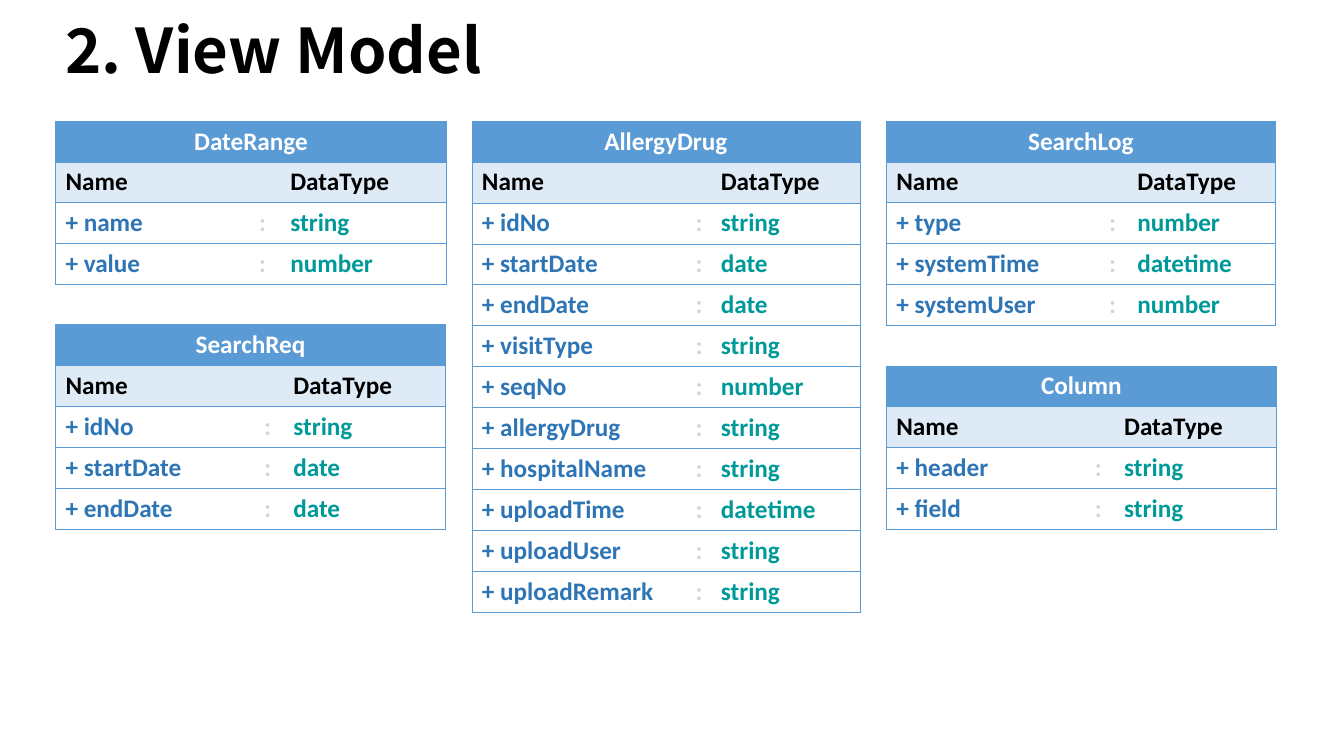
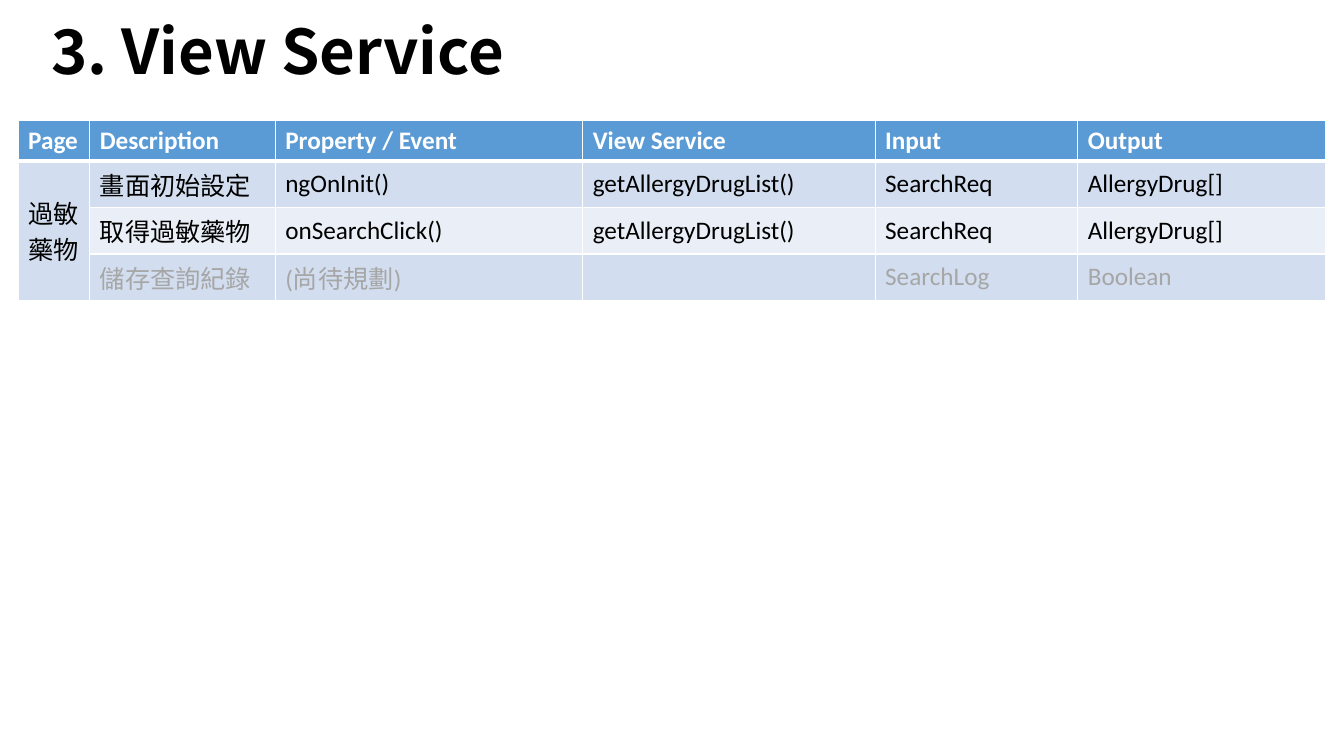
import dataclasses
import itertools

import lxml.etree
import pptx
import pptx.dml.color
import pptx.enum.text
import pptx.oxml.ns
import pptx.util

Inches = pptx.util.Inches
Align = pptx.enum.text.PP_ALIGN
Anchor = pptx.enum.text.MSO_ANCHOR
qn = pptx.oxml.ns.qn


@dataclasses.dataclass(frozen=True)
class Theme:
    accent: str = "5B9BD5"
    subhead: str = "DEEBF7"
    field: str = "2E75B6"
    datatype: str = "009999"
    colon: str = "D4D4D4"
    bands: tuple = ("D2DEEF", "EAEFF7")
    muted: str = "A6A6A6"
    black: str = "000000"
    white: str = "FFFFFF"
    latin: str = "Calibri"
    asian: str = "Noto Sans CJK SC"
    title_size: int = 44
    table_size: int = 18
    no_style: str = "{2D5ABB26-0587-4C30-8999-92F81FD0307C}"


THEME = Theme()
TABLE_TOP = 1.19


# Shared text and table helpers
def apply(target, values):
    for name, value in values.items():
        setattr(target, name, value)


def add_span(para, text, font, size, color, bold):
    span = para.add_run()
    span.text = text
    apply(span.font, {"name": font, "size": pptx.util.Pt(size), "bold": bold})
    span.font.color.rgb = pptx.dml.color.RGBColor.from_string(color)
    if font == THEME.asian:
        east = lxml.etree.SubElement(span.font._element, qn("a:ea"))
        east.set("typeface", font)


def is_asian(letter):
    return ord(letter) > 0x2E7F


def add_title(deck, text, box):
    page = deck.slides.add_slide(deck.slide_layouts[5])
    title = page.shapes.title
    apply(title, dict(zip(("left", "top", "width", "height"), map(Inches, box))))
    apply(title.text_frame, {"word_wrap": True, "vertical_anchor": Anchor.MIDDLE,
                             "auto_size": pptx.enum.text.MSO_AUTO_SIZE.NONE})
    para = title.text_frame.paragraphs[0]
    apply(para, {"alignment": Align.LEFT, "line_spacing": 0.9})
    add_span(para, text, THEME.asian, THEME.title_size, THEME.black, True)
    return page


def add_grid(page, left, top, widths, heights):
    frame = page.shapes.add_table(
        len(heights), len(widths), Inches(left), Inches(top),
        Inches(sum(widths)), Inches(sum(heights)))
    table = frame.table
    apply(table, {"first_row": False, "horz_banding": False})
    table._tbl.tblPr.find(qn("a:tableStyleId")).text = THEME.no_style
    for column, width in zip(table.columns, widths):
        column.width = Inches(width)
    for row, height in zip(table.rows, heights):
        row.height = Inches(height)
    return table


def draw_borders(cell, color, widths):
    """Widths maps sides (L, R, T, B) to points."""
    props = cell._tc.get_or_add_tcPr()
    for side in "LRTB":
        if side in widths:
            line = lxml.etree.SubElement(props, qn("a:ln" + side),
                                         w=str(pptx.util.Pt(widths[side])))
            solid = lxml.etree.SubElement(line, qn("a:solidFill"))
            lxml.etree.SubElement(solid, qn("a:srgbClr"), val=color)


def fill_cell(cell, fill):
    if fill is None:
        cell.fill.background()
    else:
        cell.fill.solid()
        cell.fill.fore_color.rgb = pptx.dml.color.RGBColor.from_string(fill)


def write_cell(cell, text, color, bold, align=Align.LEFT, anchor=Anchor.TOP):
    cell.vertical_anchor = anchor
    para = cell.text_frame.paragraphs[0]
    para.alignment = align
    for asian, letters in itertools.groupby(text, is_asian):
        font = THEME.asian if asian else THEME.latin
        add_span(para, "".join(letters), font, THEME.table_size, color, bold)


# One class of the view model
def add_model(page, left, top, height, widths, name, fields):
    rows = [(name, "", ""), ("Name", "", "DataType")]
    rows += [("+ " + field, ":", datatype) for field, datatype in fields]
    table = add_grid(page, left, top, widths, [height / len(rows)] * len(rows))
    table.cell(0, 0).merge(table.cell(0, 2))
    fills = {0: THEME.accent, 1: THEME.subhead}
    heads = {0: (THEME.white,) * 3, 1: (THEME.black,) * 3}
    body = (THEME.field, THEME.colon, THEME.datatype)
    for r, texts in enumerate(rows):
        colors = heads.get(r, body)
        for c, text in enumerate(texts):
            cell = table.cell(r, c)
            sides = "TB" + "L" * (c == 0) + "R" * (c == 2 or r == 0)
            draw_borders(cell, THEME.accent, dict.fromkeys(sides, 0.5))
            fill_cell(cell, fills.get(r))
            write_cell(cell, text, colors[c], True,
                       Align.CENTER if r == 0 else Align.LEFT)


# Models stacked in columns
def build_models(deck, columns):
    page = add_title(deck, "2. View Model", (0.55, 0.14, 12.17, 0.78))
    gap = 0.4
    for left, models in columns:
        top = TABLE_TOP + 0.01
        for height, widths, name, fields in models:
            add_model(page, left, top, height, widths, name, fields)
            top += height + gap


# Service table
def build_services(deck, widths, header, group, rows):
    page = add_title(deck, "3. View Service", (0.41, -0.1, 9.3, 1.28))
    table = add_grid(page, 0.18, TABLE_TOP, widths, [0.4] + [0.46] * len(rows))
    table.cell(1, 0).merge(table.cell(len(rows), 0))
    labels = [group] + [""] * (len(rows) - 1)
    lines = [header] + [(label, *row) for label, row in zip(labels, rows)]
    for r, texts in enumerate(lines):
        for c, text in enumerate(texts):
            cell = table.cell(r, c)
            draw_borders(cell, THEME.white, {
                "L": 1, "R": 1, "T": 3 if r == 1 else 1, "B": 3 if r == 0 else 1})
            if r == 0:
                fill, color = THEME.accent, THEME.white
            else:
                fill = THEME.bands[(r - 1) % 2 if c else 0]
                color = THEME.muted if r == len(rows) and c else THEME.black
            fill_cell(cell, fill)
            write_cell(cell, text, color, r == 0, anchor=Anchor.MIDDLE)


MODELS = [
    (0.55, [
        (1.62, (1.92, 0.31, 1.65), "DateRange",
         [("name", "string"), ("value", "number")]),
        (2.03, (1.97, 0.29, 1.61), "SearchReq",
         [("idNo", "string"), ("startDate", "date"), ("endDate", "date")]),
    ]),
    (4.68, [
        (4.88, (2.12, 0.25, 1.48), "AllergyDrug",
         [("idNo", "string"), ("startDate", "date"), ("endDate", "date"),
          ("visitType", "string"), ("seqNo", "number"), ("allergyDrug", "string"),
          ("hospitalName", "string"), ("uploadTime", "datetime"),
          ("uploadUser", "string"), ("uploadRemark", "string")]),
    ]),
    (8.79, [
        (2.03, (2.11, 0.28, 1.47), "SearchLog",
         [("type", "number"), ("systemTime", "datetime"), ("systemUser", "number")]),
        (1.62, (1.97, 0.29, 1.61), "Column",
         [("header", "string"), ("field", "string")]),
    ]),
]
SERVICE_HEADER = ("Page", "Description", "Property\u00a0/ Event", "View Service",
                  "Input", "Output")
SERVICES = [
    ("畫面初始設定", "ngOnInit()", "getAllergyDrugList()", "SearchReq", "AllergyDrug[]"),
    ("取得過敏藥物", "onSearchClick()", "getAllergyDrugList()", "SearchReq", "AllergyDrug[]"),
    ("儲存查詢紀錄", "(尚待規劃)", "", "SearchLog", "Boolean"),
]

deck = pptx.Presentation()
apply(deck, {"slide_width": Inches(13.33), "slide_height": Inches(7.5)})
build_models(deck, MODELS)
build_services(deck, (0.71, 1.84, 3.05, 2.9, 2.01, 2.46), SERVICE_HEADER,
               "過敏藥物", SERVICES)
deck.save("out.pptx")
